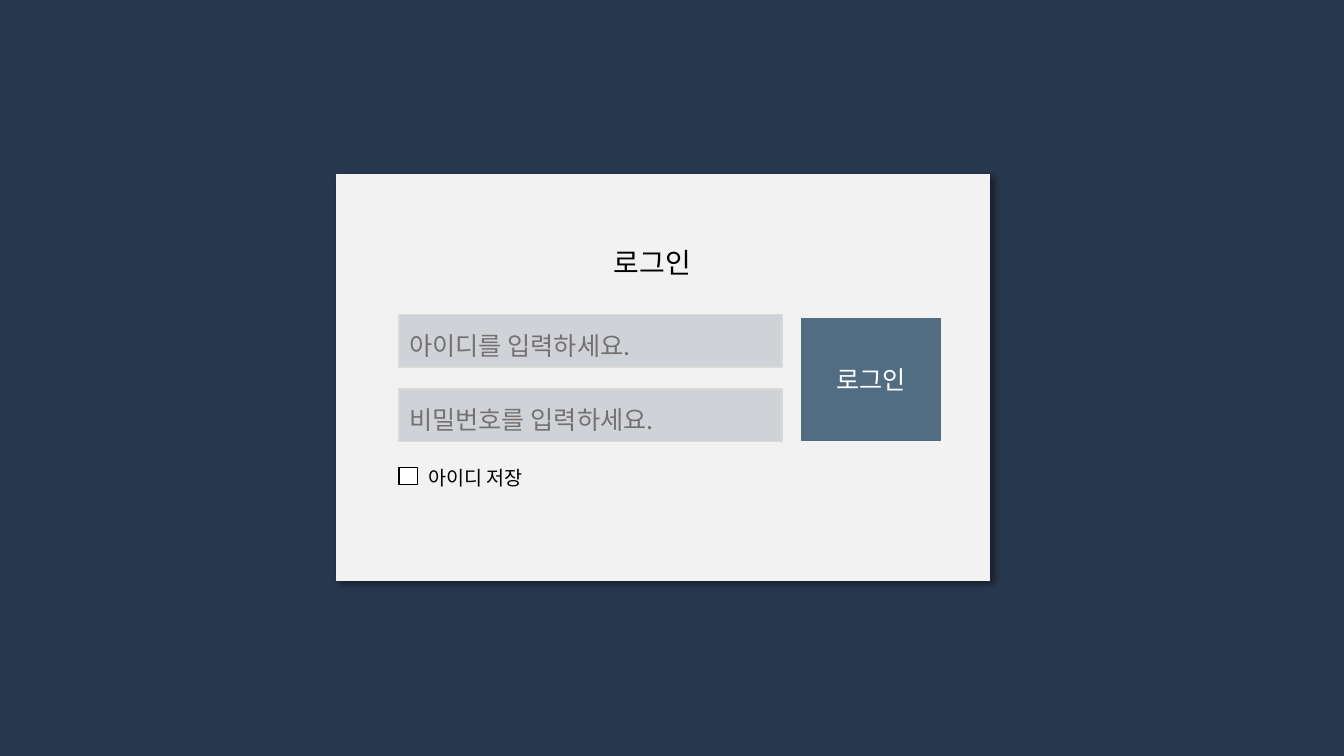
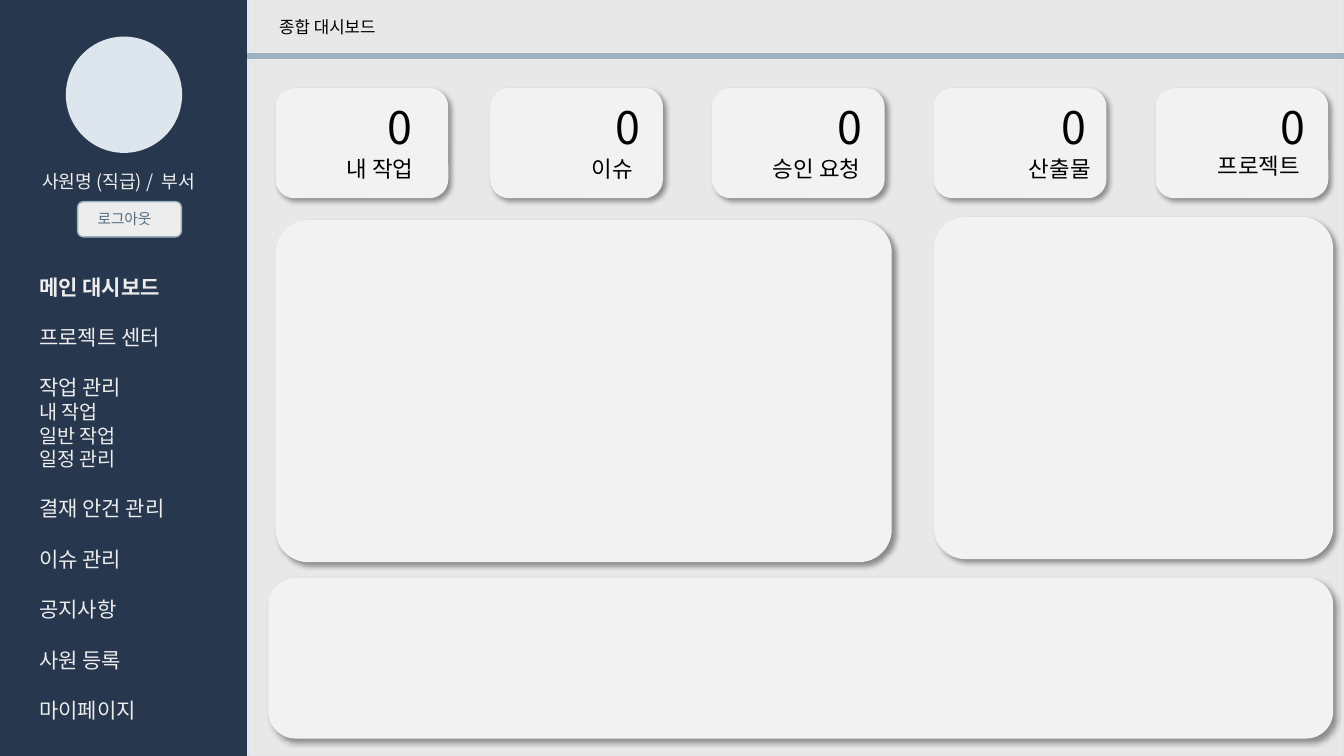
from lxml.etree import SubElement
from pptx import Presentation
from pptx.dml.color import RGBColor
from pptx.enum.shapes import MSO_SHAPE as Preset
from pptx.enum.text import MSO_ANCHOR as Anchor, MSO_AUTO_SIZE as AutoSize, PP_ALIGN as Align
from pptx.oxml.ns import qn
from pptx.util import Inches, Pt

# Shared look
FONT = "Noto Sans CJK KR"
COLORS = {
    "navy": "27374D", "slate": "526D82", "steel": "9DB2BF", "ice": "DDE6ED",
    "canvas": "E8E8E8", "card": "F2F2F2", "field": "CFD3D7", "field_line": "D9D9D9",
    "hint": "767171", "light": "EDEDED", "white": "FFFFFF", "black": "000000",
}

# Grid: every length is a number of columns or rows
WIDTH, HEIGHT = Inches(13.33), Inches(7.5)
COLS, ROWS = 40, 30
SIDEBAR = 7.38

# Card left, count left, label left, label top, label width, label
CARDS = [
    (8.22, 11.25, 10.02, 5.96, 3.33, "내 작업"),
    (14.61, 18.03, 17.31, 5.96, 3, "이슈"),
    (21.21, 24.63, 22.71, 5.96, 4.35, "승인 요청"),
    (27.81, 31.29, 30.33, 5.96, 2.79, "산출물"),
    (34.41, 37.8, 35.94, 5.84, 3.72, "프로젝트"),
]
PANELS = [
    ((8.22, 8.76, 18.3, 13.52), 0.094),
    ((27.81, 8.64, 11.85, 13.52), 0.091),
    ((8.01, 22.96, 31.65, 6.32), None),
]
MENU = [
    ("메인 대시보드", []),
    ("프로젝트 센터", []),
    ("작업 관리", ["내 작업", "일반 작업", "일정 관리"]),
    ("결재 안건 관리", []),
    ("이슈 관리", []),
    ("공지사항", []),
    ("사원 등록", []),
    ("마이페이지", []),
]


def color(name):
    return RGBColor.from_string(COLORS[name])


def place(area):
    """Turn (left, top, width, height) in grid units into slide lengths."""
    left, top, width, height = area
    return (round(left * WIDTH / COLS), round(top * HEIGHT / ROWS),
            round(width * WIDTH / COLS), round(height * HEIGHT / ROWS))


def add_span(para, text, size, ink, bold=False):
    span = para.add_run()
    span.text = text
    font = span.font
    font.size, font.bold, font.name = Pt(size), bold, FONT
    font.color.rgb = color(ink)
    SubElement(font._element, qn("a:ea"), typeface=FONT)


def add_text(page, area, text, size, ink="black"):
    frame = page.shapes.add_textbox(*place(area)).text_frame
    frame.word_wrap = True
    frame.auto_size = AutoSize.SHAPE_TO_FIT_TEXT
    add_span(frame.paragraphs[0], text, size, ink)


def add_box(page, area, fill, line=None, preset=Preset.RECTANGLE):
    box = page.shapes.add_shape(preset, *place(area))
    box.shadow.inherit = False
    box.fill.solid()
    box.fill.fore_color.rgb = color(fill)
    box.line.color.rgb = color(line or fill)
    box.line.width = Pt(1)
    return box


def add_card(page, area, preset=Preset.ROUNDED_RECTANGLE, rounding=None):
    """Light panel with a soft shadow to the lower right."""
    card = add_box(page, area, "card", preset=preset)
    if rounding:
        card.adjustments[0] = rounding
    effects = card._element.spPr.find(qn("a:effectLst"))
    shadow = SubElement(effects, qn("a:outerShdw"), blurRad=str(Pt(4)), dist=str(Pt(3)),
                        dir=str(45 * 60000), algn="tl", rotWithShape="0")
    tint = SubElement(shadow, qn("a:srgbClr"), val=COLORS["black"])
    SubElement(tint, qn("a:alpha"), val="40000")


def prepare(holder, area):
    """Move a placeholder onto the grid, in front of what is drawn so far."""
    holder.left, holder.top, holder.width, holder.height = place(area)
    holder.element.getparent().append(holder.element)
    frame = holder.text_frame
    frame.word_wrap = True
    frame.auto_size = AutoSize.NONE
    frame.vertical_anchor = Anchor.TOP
    return frame


def set_title(page, area, text, size):
    para = prepare(page.shapes.title, area).paragraphs[0]
    para.alignment = Align.LEFT
    add_span(para, text, size, "black")


def set_menu(page, area):
    frame = prepare(page.placeholders[1], area)
    lines = []
    for number, (heading, entries) in enumerate(MENU):
        lines.append((heading, 15, 18 if number else 0, number == 0))
        lines += [(entry, 14, 0, False) for entry in entries]
    for number, (text, size, gap, bold) in enumerate(lines):
        para = frame.add_paragraph() if number else frame.paragraphs[0]
        para.space_before = Pt(gap)
        props = para._p.get_or_add_pPr()
        props.set("marL", "0")
        props.set("indent", "0")
        SubElement(props, qn("a:buNone"))
        add_span(para, text, size, "light", bold)


def build_login(deck):
    page = deck.slides.add_slide(deck.slide_layouts[5])
    add_card(page, (10.02, 6.92, 19.44, 16.12), Preset.RECTANGLE)
    set_title(page, (17.97, 9.56, 3.51, 1.76), "로그인", 20)

    # Input fields
    left, width = 11.88, 11.4
    for number, hint in enumerate(["아이디를 입력하세요.", "비밀번호를 입력하세요."]):
        top = 12.48 + number * 2.96
        add_box(page, (left, top, width, 2.08), "field", "field_line")
        add_text(page, (left, top + 0.42, width, 1.6), hint, 18, "hint")

    # Check box and button
    add_box(page, (left, 18.56, 0.54, 0.68), "white", "black")
    add_text(page, (12.45, 18.28, 3.75, 1.36), "아이디 저장", 14)
    button = add_box(page, (23.85, 12.64, 4.14, 4.84), "slate")
    button.text_frame.vertical_anchor = Anchor.MIDDLE
    para = button.text_frame.paragraphs[0]
    para.alignment = Align.CENTER
    add_span(para, "로그인", 18, "white")


def build_dashboard(deck):
    page = deck.slides.add_slide(deck.slide_layouts[1])
    add_box(page, (SIDEBAR, 0, COLS - SIDEBAR, ROWS), "canvas", "ice")

    # Sidebar
    set_menu(page, (0.87, 10.68, 6.24, 18.56))
    add_box(page, (1.98, 1.48, 3.42, 4.56), "ice", preset=Preset.OVAL)
    add_text(page, (0.96, 6.56, 5.88, 1.28), "사원명 (직급) /  부서", 13, "light")
    add_box(page, (2.31, 8, 3.09, 1.4), "light", "steel", Preset.ROUNDED_RECTANGLE)
    add_text(page, (2.61, 8.12, 2.73, 1.16), "로그아웃", 10.5, "slate")

    # Header
    set_title(page, (8.01, 0.48, 5.88, 1.2), "종합 대시보드", 12)
    add_box(page, (SIDEBAR, 2.12, COLS - SIDEBAR, 0.2), "steel")

    # Counters
    for left, count_left, label_left, label_top, label_width, label in CARDS:
        add_card(page, (left, 3.52, 5.1, 4.32))
        add_text(page, (count_left, 3.76, 1.23, 2.56), "0", 32)
        add_text(page, (label_left, label_top, label_width, 1.48), label, 16)

    # Panels
    for area, rounding in PANELS:
        add_card(page, area, rounding=rounding)


def main():
    deck = Presentation()
    deck.slide_width, deck.slide_height = WIDTH, HEIGHT
    backdrop = deck.slide_master.background.fill
    backdrop.solid()
    backdrop.fore_color.rgb = color("navy")
    build_login(deck)
    build_dashboard(deck)
    deck.save("out.pptx")


if __name__ == "__main__":
    main()
